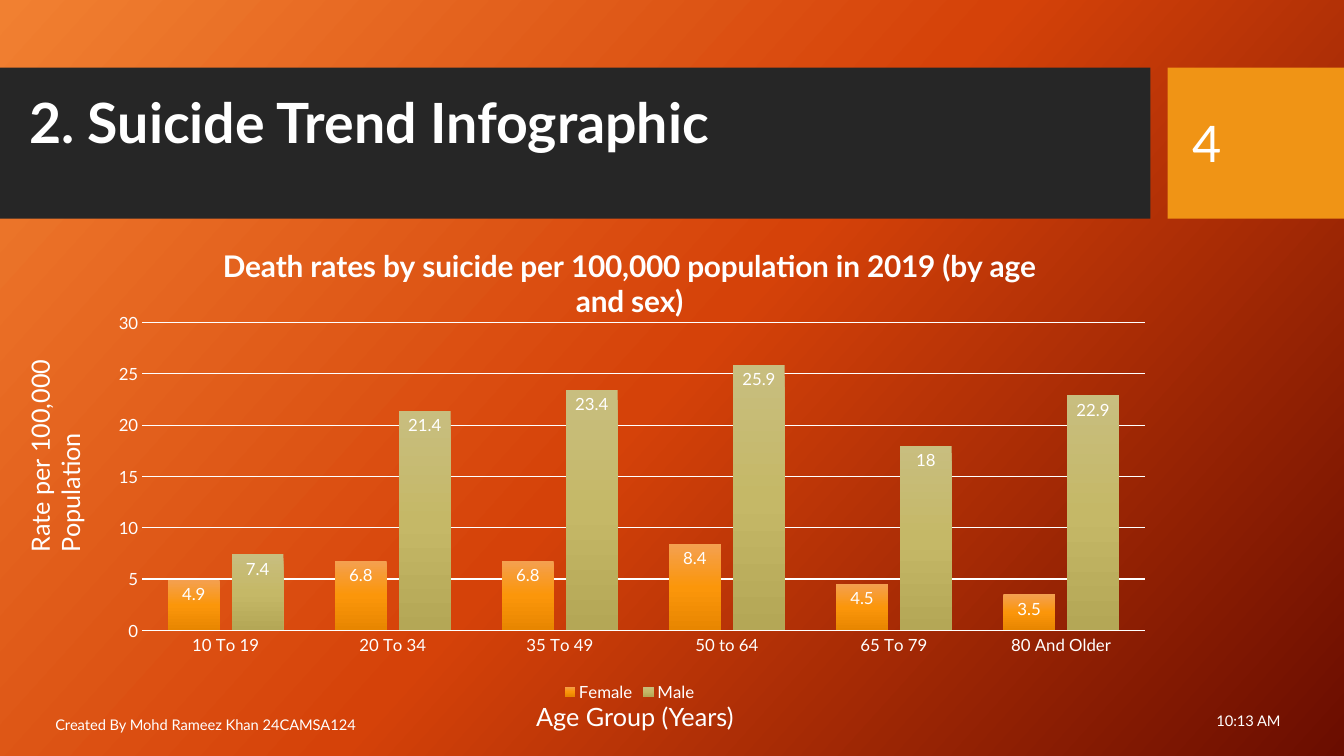
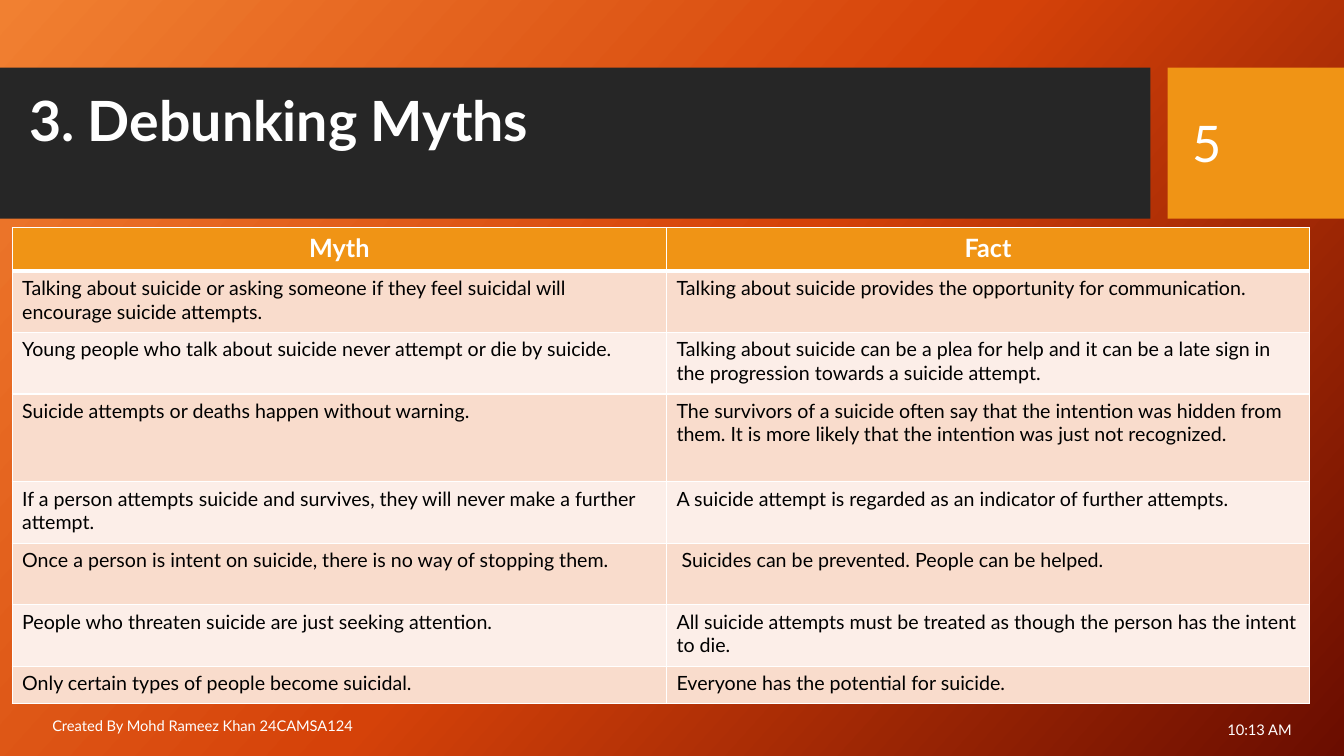
"""Build two slides on suicide awareness: a rate chart and a myth table."""
from dataclasses import dataclass

from lxml.etree import SubElement
from pptx import Presentation
from pptx.chart.data import CategoryChartData
from pptx.dml.color import RGBColor
from pptx.enum.chart import XL_CHART_TYPE as ChartType, XL_LABEL_POSITION as LabelPos
from pptx.enum.chart import XL_LEGEND_POSITION as LegendPos, XL_TICK_MARK as Tick
from pptx.enum.shapes import MSO_SHAPE as Shape
from pptx.enum.text import MSO_ANCHOR as Anchor, PP_ALIGN as Align
from pptx.oxml import parse_xml
from pptx.oxml.ns import nsdecls, qn
from pptx.util import Inches, Pt

Stops = tuple[str, str, str]
Box = tuple[float, float, float, float]


@dataclass(frozen=True)
class Theme:
    font: str = "Lato"
    white: str = "FFFFFF"
    black: str = "000000"
    band: str = "262626"
    accent: str = "F09415"
    rows: tuple[str, str] = ("F9DCCC", "FCEEE8")
    background: Stops = ("F18031", "D54209", "6A0D00")
    title: float = 39.6
    number: float = 36
    chart_title: float = 21.3
    heading: float = 18
    body: float = 14
    label: float = 12
    footer: float = 10.5


@dataclass(frozen=True)
class Frame:
    title: str
    number: str
    title_top: float
    credit_at: tuple[float, float]
    time_at: tuple[float, float]


@dataclass(frozen=True)
class Series:
    name: str
    values: tuple[float, ...]
    stops: Stops


T = Theme()
CREDIT = "Created By Mohd Rameez Khan 24CAMSA124"
TIME = "10:13 AM"
BANDS = (((0, 0.67, 11.41, 1.5), T.band), ((11.58, 0.67, 1.75, 1.5), T.accent))
TREND = Frame("2. Suicide Trend Infographic", "4", 0.95, (0.45, 6.99), (9.8, 6.95))
MYTHS = Frame("3. Debunking Myths", "5", 0.93, (0.42, 7), (9.91, 7.04))

CHART_TITLE = "Death rates by suicide per 100,000 population in 2019 (by age and sex)"
AGES = ("10 To 19", "20 To 34", "35 To 49", "50 to 64", "65 To 79", "80 And Older")
RATES = (
    Series("Female", (4.9, 6.8, 6.8, 8.4, 4.5, 3.5), ("F4A050", "FB960A", "E88600")),
    Series("Male", (7.4, 21.4, 23.4, 25.9, 18, 22.9), ("C8BE7F", "C5B867", "B4A756")),
)
PLOT = {"x": 0.04, "y": 0.205, "w": 0.946, "h": 0.639}

COLUMNS = (6.49, 6.38)
ROW_HEIGHTS = (0.43, 0.61, 0.61, 0.87, 0.61, 0.61, 0.61, 0.37)
MYTH_ROWS = (
    ("Myth", "Fact"),
    ("Talking about suicide or asking someone if they feel suicidal will encourage suicide attempts.",
     "Talking about suicide provides the opportunity for communication."),
    ("Young people who talk about suicide never attempt or die by suicide.",
     "Talking about suicide can be a plea for help and it can be a late sign in "
     "the progression towards a suicide attempt."),
    ("Suicide attempts or deaths happen without warning.",
     "The survivors of a suicide often say that the intention was hidden from them. "
     "It is more likely that the intention was just not recognized."),
    ("If a person attempts suicide and survives, they will never make a further attempt.",
     "A suicide attempt is regarded as an indicator of further attempts."),
    ("Once a person is intent on suicide, there is no way of stopping them.",
     " Suicides can be prevented. People can be helped."),
    ("People who threaten suicide are just seeking attention.",
     "All suicide attempts must be treated as though the person has the intent to die."),
    ("Only certain types of people become suicidal.",
     "Everyone has the potential for suicide."),
)


def rgb(color: str) -> RGBColor:
    return RGBColor.from_string(color)


def set_font(font, size: float, color: str = T.white, bold: bool = False) -> None:
    font.name, font.size, font.bold = T.font, Pt(size), bold
    font.color.rgb = rgb(color)


def set_gradient(fill, parent, stops: Stops, angle: int) -> None:
    fill.solid()
    marks = "".join(
        f'<a:gs pos="{i * 50000}"><a:srgbClr val="{color}"/></a:gs>'
        for i, color in enumerate(stops)
    )
    gradient = parse_xml(
        f'<a:gradFill {nsdecls("a")} rotWithShape="1"><a:gsLst>{marks}</a:gsLst>'
        f'<a:lin ang="{angle * 60000}" scaled="0"/></a:gradFill>'
    )
    parent.replace(parent.find(qn("a:solidFill")), gradient)


def add_text(s, box: Box, text: str, size: float, bold: bool = False,
             align: Align = Align.LEFT, anchor: Anchor = Anchor.MIDDLE):
    sp = s.shapes.add_textbox(*map(Inches, box))
    tf = sp.text_frame
    tf.word_wrap, tf.vertical_anchor = True, anchor
    p = tf.paragraphs[0]
    p.text, p.alignment = text, align
    set_font(p.runs[0].font, size, bold=bold)
    return sp


def add_framed_slide(prs, frame: Frame):
    s = prs.slides.add_slide(prs.slide_layouts[6])
    fill = s.background.fill
    fill.solid()
    set_gradient(fill, s.element.find(f".//{qn('p:bgPr')}"), T.background, 42)
    for box, color in BANDS:
        sp = s.shapes.add_shape(Shape.RECTANGLE, *map(Inches, box))
        sp.shadow.inherit = False
        sp.fill.solid()
        sp.fill.fore_color.rgb = rgb(color)
        sp.line.fill.background()
    title = add_text(s, (0.19, frame.title_top, 10.51, 1.18), frame.title, T.title,
                     bold=True, anchor=Anchor.TOP)
    title.text_frame.margin_top = Inches(0)
    title.text_frame.paragraphs[0].line_spacing = 0.9
    add_text(s, (11.73, 0.82, 1.26, 1.19), frame.number, T.number)
    add_text(s, (*frame.credit_at, 7.51, 0.4), CREDIT, T.footer)
    add_text(s, (*frame.time_at, 3, 0.4), TIME, T.footer, align=Align.RIGHT)
    return s


def set_plot_layout(chart) -> None:
    area = chart.element.find(f".//{qn('c:plotArea')}")
    for old in area.findall(qn("c:layout")):
        area.remove(old)
    layout = parse_xml(f'<c:layout {nsdecls("c")}/>')
    manual = SubElement(layout, qn("c:manualLayout"))
    settings = {"layoutTarget": "inner", "xMode": "edge", "yMode": "edge", **PLOT}
    for name, value in settings.items():
        SubElement(manual, qn(f"c:{name}")).set("val", str(value))
    area.insert(0, layout)


def add_rate_chart(s) -> None:
    data = CategoryChartData()
    data.categories = AGES
    for series in RATES:
        data.add_series(series.name, series.values)
    box = map(Inches, (0.99, 2.22, 10.51, 4.78))
    chart = s.shapes.add_chart(ChartType.COLUMN_CLUSTERED, *box, data).chart
    set_font(chart.font, T.label)
    chart.has_title = True
    p = chart.chart_title.text_frame.paragraphs[0]
    p.text = CHART_TITLE
    set_font(p.runs[0].font, T.chart_title, bold=True)
    chart.chart_title.include_in_layout = False
    chart.has_legend = True
    chart.legend.position = LegendPos.BOTTOM
    chart.legend.include_in_layout = False
    set_font(chart.legend.font, T.label)

    for axis in (chart.category_axis, chart.value_axis):
        axis.major_tick_mark = axis.minor_tick_mark = Tick.NONE
        set_font(axis.tick_labels.font, T.label)
    line = chart.category_axis.format.line
    line.color.rgb, line.width = rgb(T.white), Pt(1)
    rates = chart.value_axis
    rates.minimum_scale, rates.maximum_scale, rates.major_unit = 0, 30, 5
    rates.format.line.fill.background()
    grid = rates.major_gridlines.format.line
    grid.color.rgb, grid.width = rgb(T.white), Pt(0.75)

    plot = chart.plots[0]
    plot.gap_width, plot.overlap, plot.vary_by_categories = 100, -24, False
    plot.has_data_labels = True
    labels = plot.data_labels
    labels.show_value, labels.position = True, LabelPos.INSIDE_END
    set_font(labels.font, T.label)
    for bars, series in zip(plot.series, RATES):
        fill = bars.format.fill
        fill.solid()
        set_gradient(fill, bars._element.find(qn("c:spPr")), series.stops, 90)
    set_plot_layout(chart)


def set_borders(cell, top: float, bottom: float) -> None:
    tc_pr = cell._tc.get_or_add_tcPr()
    for i, (side, width) in enumerate((("L", 1), ("R", 1), ("T", top), ("B", bottom))):
        tc_pr.insert(i, parse_xml(
            f'<a:ln{side} {nsdecls("a")} w="{Pt(width)}"><a:solidFill>'
            f'<a:srgbClr val="{T.white}"/></a:solidFill></a:ln{side}>'
        ))


def add_myth_table(s) -> None:
    box = map(Inches, (0.12, 2.26, sum(COLUMNS), sum(ROW_HEIGHTS)))
    table = s.shapes.add_table(len(MYTH_ROWS), len(COLUMNS), *box).table
    table.horz_banding = False
    for column, width in zip(table.columns, COLUMNS):
        column.width = Inches(width)
    for i, (row, height, texts) in enumerate(zip(table.rows, ROW_HEIGHTS, MYTH_ROWS)):
        row.height = Inches(height)
        header = i == 0
        for cell, text in zip(row.cells, texts):
            cell.fill.solid()
            cell.fill.fore_color.rgb = rgb(T.accent if header else T.rows[(i - 1) % 2])
            set_borders(cell, 3 if i == 1 else 1, 3 if header else 1)
            p = cell.text_frame.paragraphs[0]
            p.text = text
            p.alignment = Align.CENTER if header else Align.LEFT
            size, color = (T.heading, T.white) if header else (T.body, T.black)
            set_font(p.runs[0].font, size, color, header)


def main() -> None:
    prs = Presentation()
    prs.slide_width, prs.slide_height = Inches(13.33), Inches(7.5)
    s = add_framed_slide(prs, TREND)
    add_rate_chart(s)
    add_text(s, (5.22, 6.91, 2.7, 0.4), "Age Group (Years)", T.heading, anchor=Anchor.TOP)
    rate_label = add_text(s, (-0.8, 3.87, 2.7, 0.71), "Rate per 100,000 Population",
                          T.heading, anchor=Anchor.TOP)
    rate_label.rotation = 270
    add_myth_table(add_framed_slide(prs, MYTHS))
    prs.save("out.pptx")


if __name__ == "__main__":
    main()
